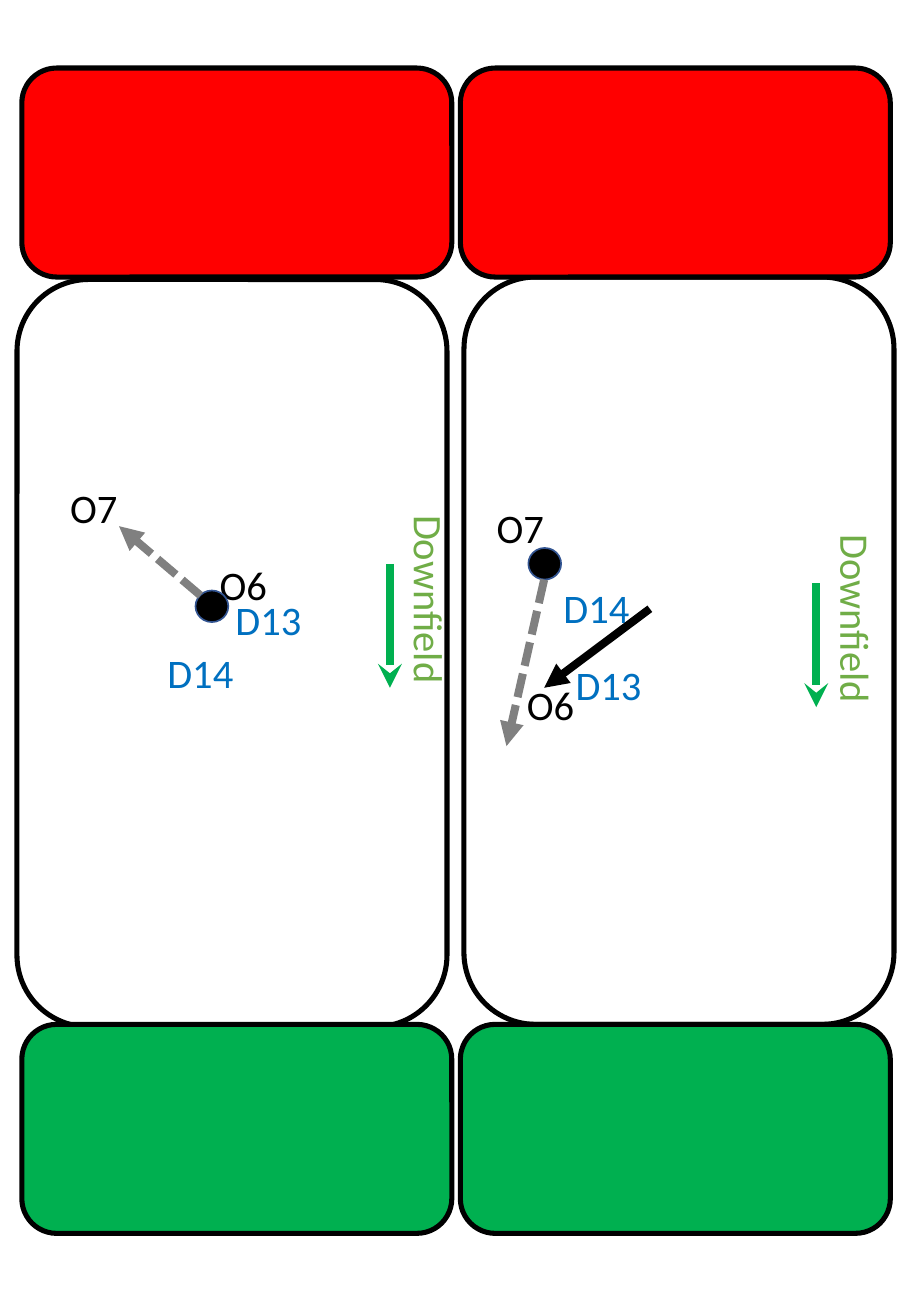
from typing import NamedTuple

from lxml import etree
from pptx import Presentation
from pptx.dml.color import RGBColor
from pptx.enum.dml import MSO_LINE
from pptx.enum.shapes import MSO_CONNECTOR, MSO_SHAPE
from pptx.enum.text import MSO_AUTO_SIZE
from pptx.oxml.ns import qn
from pptx.util import Emu, Pt

ROUND = MSO_SHAPE.ROUNDED_RECTANGLE
OVAL = MSO_SHAPE.OVAL
LINE = MSO_CONNECTOR.STRAIGHT
DASH = MSO_LINE.SQUARE_DOT
GROW = MSO_AUTO_SIZE.SHAPE_TO_FIT_TEXT
PX = 9144
BLACK, WHITE, RED, GREEN = "000000", "FFFFFF", "FF0000", "00B050"
BLUE, GREY, LIME, NAVY = "0070C0", "808080", "70AD47", "325491"
FONT = "Calibri"


class Panel(NamedTuple):
    kind: int
    left: int
    top: int
    width: int
    height: int
    fill: str
    edge: str = BLACK
    weight: int = 3


class Label(NamedTuple):
    text: str
    left: int
    top: int
    width: int
    tint: str = BLACK
    turn: int = 0


class Arrow(NamedTuple):
    start: tuple[int, int]
    end: tuple[int, int]
    tint: str
    tip: str = "triangle"
    dashed: bool = False


class Play(NamedTuple):
    labels: list[Label]
    ball: Panel
    arrows: list[Arrow]


def px(size: int) -> Emu:
    return Emu(size * PX)


def paint(target, tint: str) -> None:
    target.solid()
    target.fore_color.rgb = RGBColor.from_string(tint)


def add_panel(slide, item: Panel) -> None:
    shape = slide.shapes.add_shape(
        item.kind, px(item.left), px(item.top), px(item.width), px(item.height))
    shape.shadow.inherit = False
    paint(shape.fill, item.fill)
    paint(shape.line.fill, item.edge)
    shape.line.width = Pt(item.weight)


def add_label(slide, item: Label) -> None:
    box = slide.shapes.add_textbox(
        px(item.left), px(item.top), px(item.width), px(50))
    box.rotation = item.turn
    frame = box.text_frame
    frame.word_wrap = True
    frame.auto_size = GROW
    run = frame.paragraphs[0].add_run()
    run.text = item.text
    run.font.name = FONT
    run.font.size = Pt(24)
    paint(run.font.fill, item.tint)


def add_arrow(slide, item: Arrow) -> None:
    line = slide.shapes.add_connector(
        LINE, *map(px, item.start), *map(px, item.end))
    paint(line.line.fill, item.tint)
    line.line.width = Pt(4.75)
    if item.dashed:
        line.line.dash_style = DASH
    props = line._element.spPr
    etree.SubElement(props.find(qn("a:ln")), qn("a:tailEnd"), type=item.tip)
    etree.SubElement(props, qn("a:effectLst"))


def add_play(slide, play: Play) -> None:
    for label in play.labels:
        add_label(slide, label)
    add_panel(slide, play.ball)
    for arrow in play.arrows:
        add_arrow(slide, arrow)


def make_ball(left: int, top: int) -> Panel:
    return Panel(OVAL, left, top, 27, 26, BLACK, NAVY, 1)


FIELDS = [
    Panel(ROUND, 382, 228, 354, 615, WHITE),
    Panel(ROUND, 14, 230, 354, 615, WHITE),
]
ZONES = [
    Panel(ROUND, left, top, 354, 172, fill)
    for left in (18, 379)
    for top, fill in ((843, GREEN), (56, RED))
]
PLAYS = [
    Play(
        [
            Label("O6", 171, 456, 84),
            Label("O7", 48, 393, 74),
            Label("D13", 184, 485, 97, BLUE),
            Label("D14", 128, 528, 97, BLUE),
            Label("Downfield", 268, 475, 172, LIME, 90),
        ],
        make_ball(161, 486),
        [
            Arrow((321, 464), (321, 566), GREEN, "stealth"),
            Arrow((165, 490), (98, 433), GREY, dashed=True),
        ],
    ),
    Play(
        [
            Label("O6", 424, 555, 84),
            Label("O7", 399, 409, 74),
            Label("D13", 464, 538, 97, BLUE),
            Label("D14", 454, 475, 97, BLUE),
            Label("Downfield", 619, 491, 172, LIME, 90),
        ],
        make_ball(435, 451),
        [
            Arrow((672, 480), (672, 582), GREEN, "stealth"),
            Arrow((448, 477), (417, 614), GREY, dashed=True),
            Arrow((535, 501), (448, 566), BLACK),
        ],
    ),
]


def main() -> None:
    deck = Presentation()
    deck.slide_width, deck.slide_height = px(750), px(1083)
    slide = deck.slides.add_slide(deck.slide_layouts[6])
    for panel in FIELDS + ZONES:
        add_panel(slide, panel)
    for play in PLAYS:
        add_play(slide, play)
    deck.save("out.pptx")


if __name__ == "__main__":
    main()
